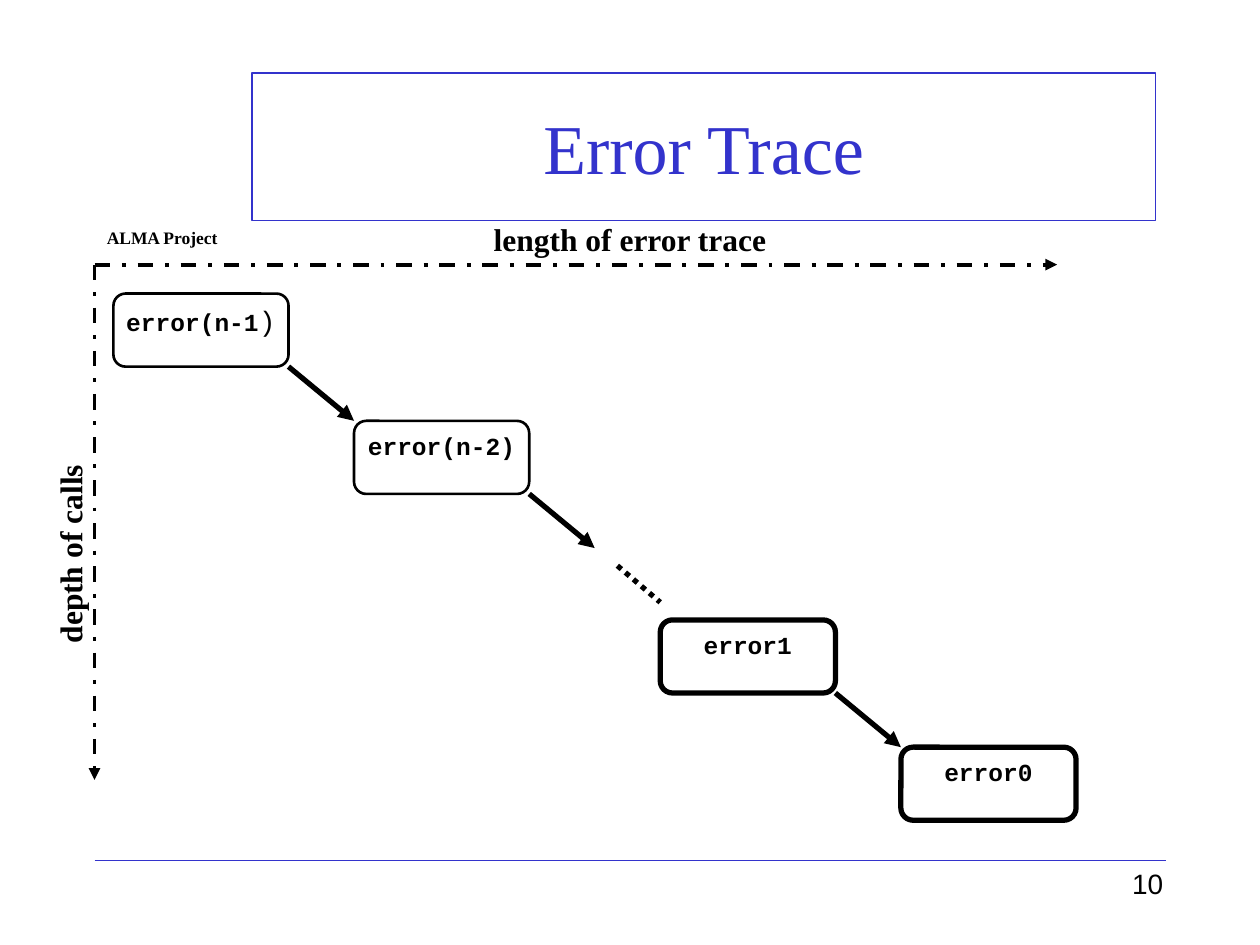
from lxml.etree import SubElement
from pptx import Presentation
from pptx.dml.color import RGBColor
from pptx.enum.dml import MSO_LINE
from pptx.enum.shapes import MSO_CONNECTOR, MSO_SHAPE
from pptx.enum.text import MSO_ANCHOR, MSO_AUTO_SIZE, PP_ALIGN
from pptx.oxml.ns import qn
from pptx.util import Inches, Pt

COLORS = {name: RGBColor.from_string(value) for name, value in {
    "blue": "3333CC", "black": "000000", "white": "FFFFFF"}.items()}
SERIF = "Times New Roman"

deck = Presentation()
deck.slide_width, deck.slide_height = Inches(10), Inches(7.5)
page = deck.slides.add_slide(deck.slide_layouts[5])


def format_text(shape, text, size, font, color="black", bold=True, align=PP_ALIGN.LEFT):
    shape.text_frame.text = text
    para = shape.text_frame.paragraphs[0]
    para.alignment = align
    span = para.runs[0]
    span.font.name, span.font.size, span.font.bold = font, Pt(size), bold
    span.font.color.rgb = COLORS[color]
    return para


def add_line(start, end, width, color="black", dash=None, arrow=True):
    line = page.shapes.add_connector(
        MSO_CONNECTOR.STRAIGHT, *[Inches(value) for value in (*start, *end)])
    line.line.color.rgb = COLORS[color]
    line.line.width = Pt(width)
    if dash:
        line.line.dash_style = dash
    if arrow:
        SubElement(line.line._get_or_add_ln(), qn("a:tailEnd"), type="triangle")
    SubElement(line._element.spPr, qn("a:effectLst"))


# Title and footer rule
title = page.shapes.title
title.left, title.top = Inches(2), Inches(0.58)
title.width, title.height = Inches(7.17), Inches(1.17)
title.line.color.rgb = COLORS["blue"]
title.line.width = Pt(1)
format_text(title, "Error Trace", 40, SERIF, "blue", False, PP_ALIGN.CENTER)
title.text_frame.vertical_anchor = MSO_ANCHOR.MIDDLE
title.text_frame.auto_size = MSO_AUTO_SIZE.NONE
add_line((0.75, 6.83), (9.25, 6.83), 1, "blue", arrow=False)

# Staircase of error boxes, with an arrow leaving each box but the last
BOX_WIDTH, BOX_HEIGHT = 1.39, 0.58
ARROW_WIDTH, ARROW_HEIGHT = 0.52, 0.43
steps = [  # text, left, top, outline width, side inset
    ("error(n-1", 0.9, 2.33, 1.5, 0),
    ("error(n-2)", 2.81, 3.34, 1.5, 0),
    ("error1", 5.24, 4.92, 3, 0.1),
    ("error0", 7.15, 5.93, 3, 0.1),
]
for index, (text, left, top, outline, inset) in enumerate(steps):
    box = page.shapes.add_shape(
        MSO_SHAPE.ROUNDED_RECTANGLE, Inches(left), Inches(top),
        Inches(BOX_WIDTH), Inches(BOX_HEIGHT))
    box.shadow.inherit = False
    box.fill.solid()
    box.fill.fore_color.rgb = COLORS["white"]
    box.line.color.rgb = COLORS["black"]
    box.line.width = Pt(outline)
    box.text_frame.margin_left = box.text_frame.margin_right = Inches(inset)
    box.text_frame.vertical_anchor = MSO_ANCHOR.TOP
    para = format_text(box, text, 14, "Courier New", align=PP_ALIGN.CENTER)
    if index == 0:
        span = para.add_run()
        span.text = ")"
        span.font.name, span.font.size, span.font.bold = "Courier New", Pt(16), False
        span.font.color.rgb = COLORS["black"]
    if index < len(steps) - 1:
        corner = (left + BOX_WIDTH, top + BOX_HEIGHT)
        add_line(corner, (corner[0] + ARROW_WIDTH, corner[1] + ARROW_HEIGHT), 3)
add_line((4.9, 4.49), (5.24, 4.78), 3, dash=MSO_LINE.ROUND_DOT, arrow=False)

# Axes
for end in ((8.39, 2.1), (0.75, 6.19)):
    add_line((0.75, 2.1), end, 2.25, dash=MSO_LINE.DASH_DOT)

# Labels: text, left, top, width, height, size, font, bold, alignment, rotation
labels = [
    ("ALMA Project", 0.75, 1.75, 1.1, 0.27, 10, SERIF, True, PP_ALIGN.LEFT, 0),
    ("length of error trace", 3.82, 1.7, 2.47, 0.4, 18, SERIF, True, PP_ALIGN.LEFT, 0),
    ("depth of calls", -0.3, 4.15, 1.71, 0.4, 18, SERIF, True, PP_ALIGN.LEFT, 270),
    ("10", 7.25, 6.83, 2.08, 0.5, 16, "Arial", False, PP_ALIGN.RIGHT, 0),
]
for text, left, top, width, height, size, font, bold, align, rotation in labels:
    label = page.shapes.add_textbox(
        Inches(left), Inches(top), Inches(width), Inches(height))
    label.rotation = rotation
    label.text_frame.word_wrap = True
    format_text(label, text, size, font, bold=bold, align=align)

deck.save("out.pptx")
